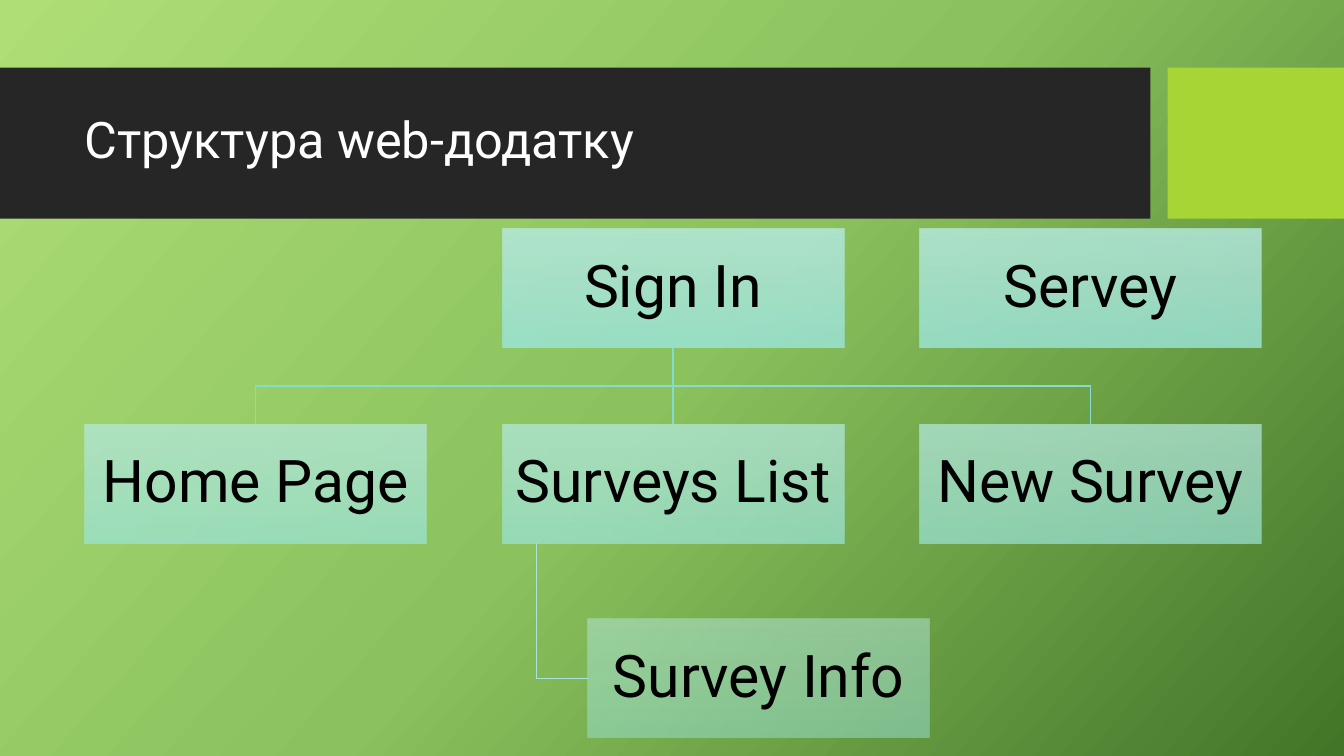
from lxml.etree import SubElement
from pptx import Presentation
from pptx.dml.color import RGBColor
from pptx.enum.shapes import MSO_CONNECTOR, MSO_SHAPE
from pptx.enum.text import MSO_ANCHOR, PP_ALIGN
from pptx.oxml.ns import qn
from pptx.util import Inches, Pt

TITLE = "Структура web-додатку"
FONT = "Roboto"
WHITE = RGBColor(0xFF, 0xFF, 0xFF)
BLACK = RGBColor(0x00, 0x00, 0x00)
CHARCOAL = RGBColor(0x26, 0x26, 0x26)
LIME = RGBColor(0xA7, 0xD5, 0x35)
TEAL = RGBColor(0x84, 0xDC, 0xD1)
PALE_TEAL = RGBColor(0xAA, 0xE5, 0xDC)
BACKGROUND = (RGBColor(0xAF, 0xDE, 0x77), RGBColor(0x8B, 0xC2, 0x5D), RGBColor(0x43, 0x75, 0x28))
BOX_FILL = (RGBColor(0xB8, 0xEB, 0xE4), RGBColor(0xAA, 0xE7, 0xDE), RGBColor(0x9B, 0xE6, 0xDC))

BANNERS = [(0, 11.41, CHARCOAL), (11.58, 1.75, LIME)]
PAGES = [
    ("Sign In", 1, 0),
    ("Servey", 2, 0),
    ("Home Page", 0, 1),
    ("Surveys List", 1, 1),
    ("New Survey", 2, 1),
    ("Survey Info", 1, 2),
]
BOX_WIDTH, BOX_HEIGHT = 3.39, 1.18
LEFT, COLUMN_STEP = 0.84, 4.14
ROW_TOPS = (2.27, 4.21, 6.14)
ROW_OPACITY = (80, 70, 50)
ROW_INDENT = (0, 0, 0.85)


def box_corner(column, row):
    return LEFT + column * COLUMN_STEP + ROW_INDENT[row], ROW_TOPS[row]


def apply_gradient(parent, colors, angle, opacity=100):
    solid = parent.find(qn("a:solidFill"))
    gradient = parent.makeelement(qn("a:gradFill"), {"rotWithShape": "1"})
    stops = SubElement(gradient, qn("a:gsLst"))
    for index, color in enumerate(colors):
        stop = SubElement(stops, qn("a:gs"), pos=str(index * 50000))
        value = SubElement(stop, qn("a:srgbClr"), val=str(color))
        if opacity < 100:
            SubElement(value, qn("a:alpha"), val=str(opacity * 1000))
    SubElement(gradient, qn("a:lin"), ang=str(angle * 60000), scaled="0")
    parent.replace(solid, gradient)


def format_text(frame, size, color, align):
    frame.word_wrap = True
    frame.vertical_anchor = MSO_ANCHOR.MIDDLE
    para = frame.paragraphs[0]
    para.alignment = align
    para.line_spacing = 0.9
    span = para.runs[0]
    span.font.name = FONT
    span.font.size = Pt(size)
    span.font.color.rgb = color


def add_rectangle(slide, left, top, width, height, color):
    box = slide.shapes.add_shape(
        MSO_SHAPE.RECTANGLE, Inches(left), Inches(top), Inches(width), Inches(height)
    )
    box.shadow.inherit = False
    box.fill.solid()
    box.fill.fore_color.rgb = color
    box.line.fill.background()
    return box


def add_elbow(slide, points, color):
    corners = [(Inches(x), Inches(y)) for x, y in points]
    builder = slide.shapes.build_freeform(*corners[0], scale=1.0)
    builder.add_line_segments(corners[1:], close=False)
    elbow = builder.convert_to_shape()
    elbow.shadow.inherit = False
    elbow.fill.background()
    elbow.line.color.rgb = color
    elbow.line.width = Pt(1)


def add_straight(slide, x, top, bottom, color):
    line = slide.shapes.add_connector(
        MSO_CONNECTOR.STRAIGHT, Inches(x), Inches(top), Inches(x), Inches(bottom)
    )
    line.line.color.rgb = color
    line.line.width = Pt(1)
    SubElement(line.element.spPr, qn("a:effectLst"))


def add_links(slide):
    root_left, root_top = box_corner(1, 0)
    center = root_left + BOX_WIDTH / 2
    start, end = root_top + BOX_HEIGHT, ROW_TOPS[1]
    middle = (start + end) / 2
    for column in (0, 2):
        child = box_corner(column, 1)[0] + BOX_WIDTH / 2
        add_elbow(slide, [(center, start), (center, middle), (child, middle), (child, end)], TEAL)
    add_straight(slide, center, start, end, TEAL)

    info_left, info_top = box_corner(1, 2)
    trunk = root_left + BOX_WIDTH / 10
    info_middle = info_top + BOX_HEIGHT / 2
    list_bottom = end + BOX_HEIGHT
    add_elbow(slide, [(trunk, list_bottom), (trunk, info_middle), (info_left, info_middle)], PALE_TEAL)


def add_page_box(slide, name, column, row):
    box = add_rectangle(slide, *box_corner(column, row), BOX_WIDTH, BOX_HEIGHT, BOX_FILL[0])
    apply_gradient(box.element.spPr, BOX_FILL, 90, ROW_OPACITY[row])
    frame = box.text_frame
    frame.text = name
    frame.margin_left = frame.margin_right = Inches(0.03)
    frame.margin_top = frame.margin_bottom = Inches(0.03)
    format_text(frame, 42, BLACK, PP_ALIGN.CENTER)


def main():
    deck = Presentation()
    deck.slide_width, deck.slide_height = Inches(13.33), Inches(7.5)
    slide = deck.slides.add_slide(deck.slide_layouts[5])
    slide.background.fill.solid()
    apply_gradient(slide.element.find(".//" + qn("p:bgPr")), BACKGROUND, 42)

    for left, width, color in BANNERS:
        add_rectangle(slide, left, 0.67, width, 1.5, color)

    title = slide.shapes.title
    slide.shapes.element.append(title.element)
    title.left, title.top = Inches(0.74), Inches(0.82)
    title.width, title.height = Inches(10.51), Inches(1.18)
    title.text_frame.text = TITLE
    format_text(title.text_frame, 36, WHITE, PP_ALIGN.LEFT)

    add_links(slide)
    for page in PAGES:
        add_page_box(slide, *page)
    deck.save("out.pptx")


if __name__ == "__main__":
    main()
